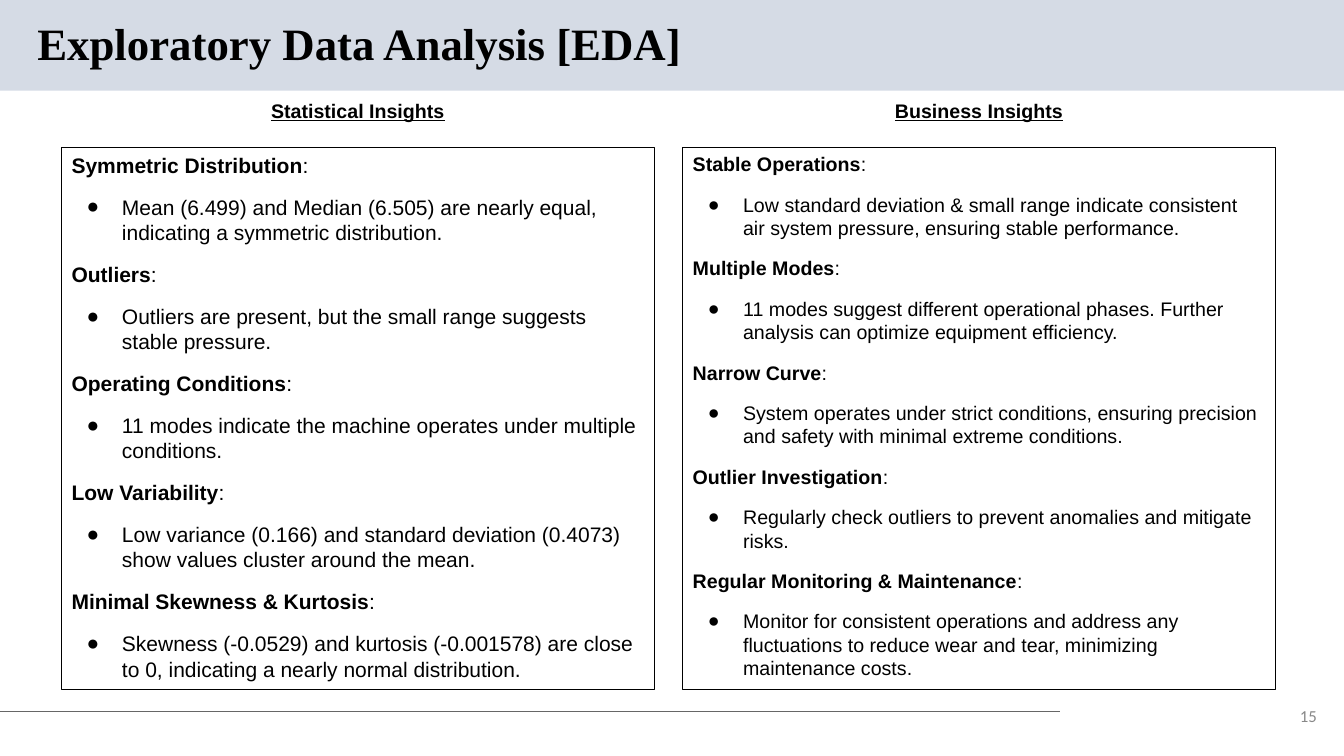
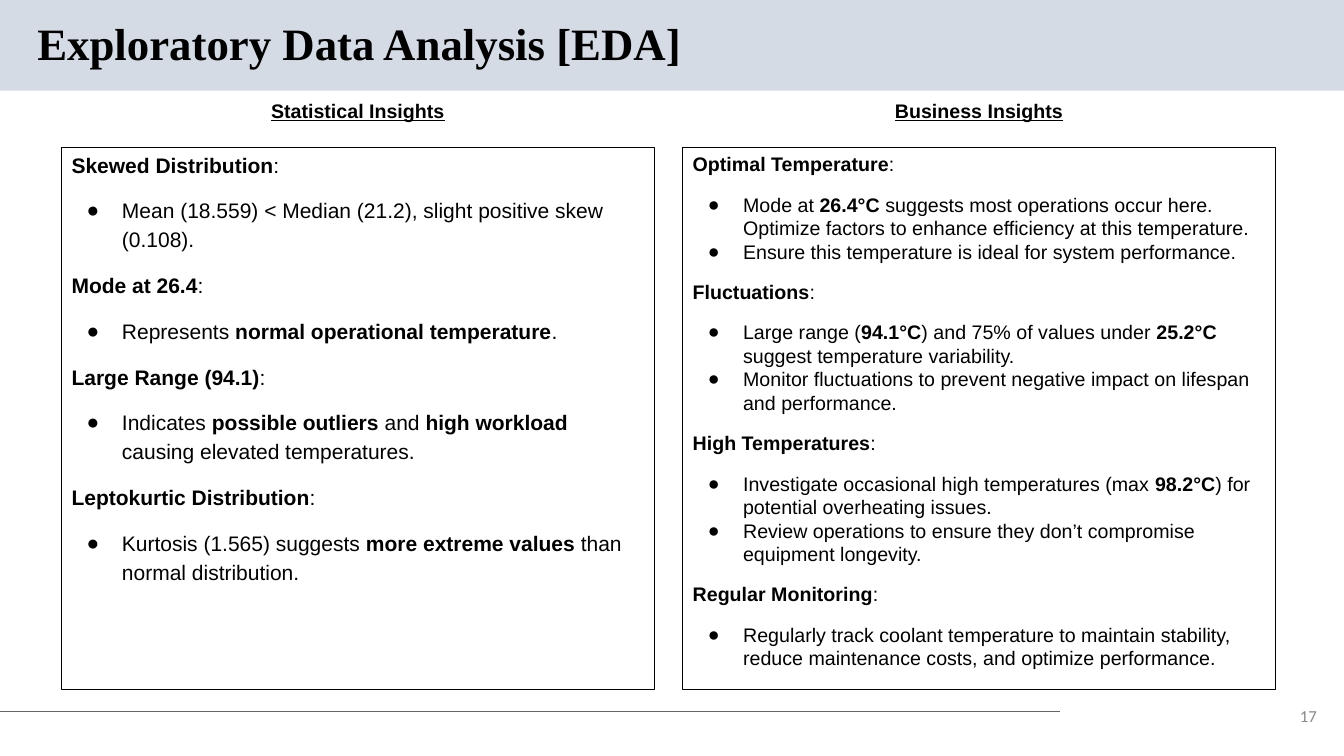
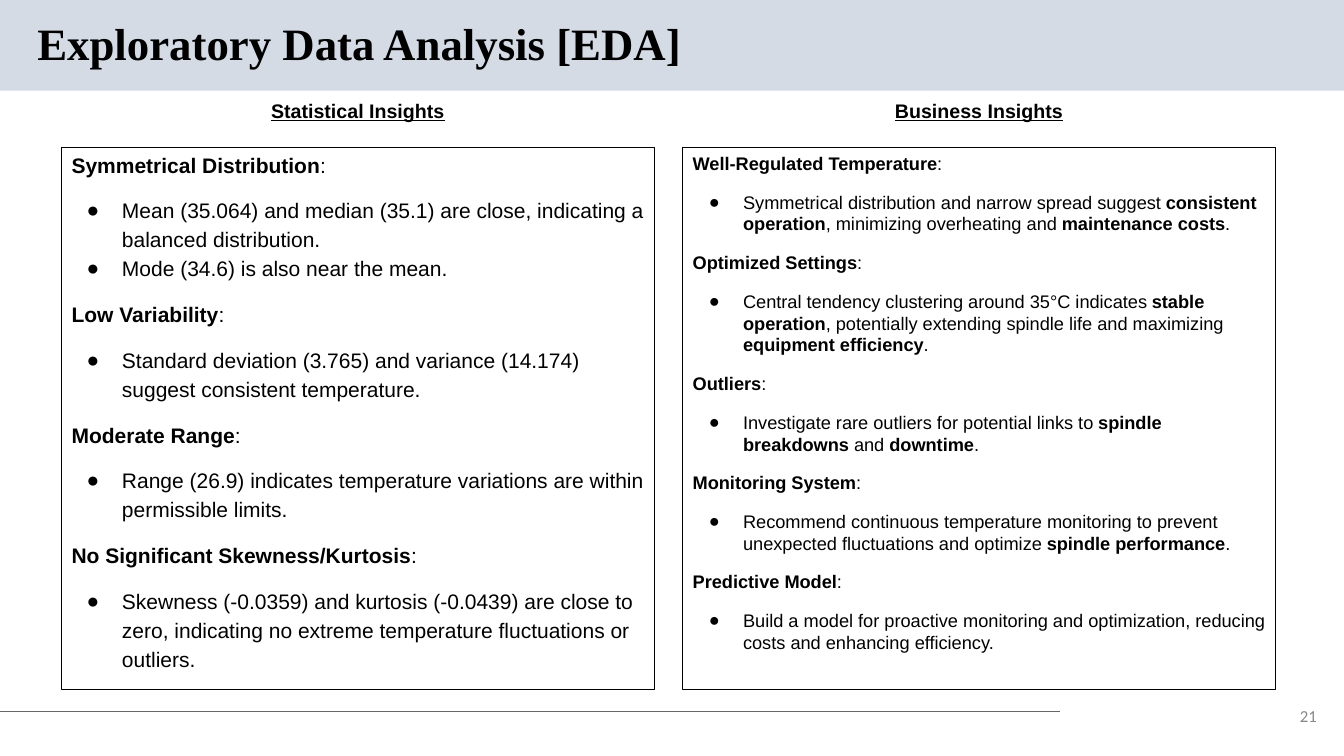
"""Build the exploratory data analysis insight slides."""
from dataclasses import dataclass

from lxml.etree import SubElement
from pptx import Presentation
from pptx.dml.color import RGBColor
from pptx.enum.shapes import MSO_CONNECTOR, MSO_SHAPE
from pptx.enum.text import MSO_ANCHOR, MSO_AUTO_SIZE, PP_ALIGN
from pptx.oxml.ns import qn
from pptx.util import Inches, Pt


@dataclass(frozen=True)
class Theme:
    """Colours, fonts and type sizes of the deck."""

    ink: str = "000000"
    band: str = "D5DBE5"
    rule: str = "666666"
    muted: str = "888888"
    title_font: str = "Times New Roman"
    body_font: str = "Arial"
    number_font: str = "Calibri"
    title_size: int = 32
    heading_size: int = 14
    number_size: int = 12
    gap: int = 12
    hairline: float = 0.75


@dataclass(frozen=True)
class Panel:
    """Topics of one column, each a name with its points."""

    topics: dict
    size: int = 14
    spacing: float = 1.0
    hanging: float = 0.35


THEME = Theme()
TITLE = "Exploratory Data Analysis [EDA]"
HEADINGS = ("Statistical Insights", "Business Insights")
SLIDE_WIDTH, SLIDE_HEIGHT = 13.33, 7.5
COLUMN_LEFTS = (0.61, 6.77)
COLUMN_WIDTH = 5.88
HEADING_SLOTS, PANEL_SLOTS = (1, 3), (2, 4)

SLIDES = {
    15: (
        Panel(size=15, topics={
            "Symmetric Distribution": [
                "Mean (6.499) and Median (6.505) are nearly equal, indicating a symmetric distribution."],
            "Outliers": ["Outliers are present, but the small range suggests stable pressure."],
            "Operating Conditions": ["11 modes indicate the machine operates under multiple conditions."],
            "Low Variability": [
                "Low variance (0.166) and standard deviation (0.4073) show values cluster around the mean."],
            "Minimal Skewness & Kurtosis": [
                "Skewness (-0.0529) and kurtosis (-0.001578) are close to 0, "
                "indicating a nearly normal distribution."],
        }),
        Panel(topics={
            "Stable Operations": [
                "Low standard deviation & small range indicate consistent air system pressure, "
                "ensuring stable performance."],
            "Multiple Modes": [
                "11 modes suggest different operational phases. "
                "Further analysis can optimize equipment efficiency."],
            "Narrow Curve": [
                "System operates under strict conditions, ensuring precision and safety "
                "with minimal extreme conditions."],
            "Outlier Investigation": ["Regularly check outliers to prevent anomalies and mitigate risks."],
            "Regular Monitoring & Maintenance": [
                "Monitor for consistent operations and address any fluctuations to reduce wear and tear, "
                "minimizing maintenance costs."],
        }),
    ),
    17: (
        Panel(size=15, spacing=1.15, topics={
            "Skewed Distribution": ["Mean (18.559) < Median (21.2), slight positive skew (0.108)."],
            "Mode at 26.4": ["Represents **normal operational temperature**."],
            "Large Range (94.1)": [
                "Indicates **possible outliers** and **high workload** causing elevated temperatures."],
            "Leptokurtic Distribution": [
                "Kurtosis (1.565) suggests **more extreme values** than normal distribution."],
        }),
        Panel(topics={
            "Optimal Temperature": [
                "Mode at **26.4°C** suggests most operations occur here. "
                "Optimize factors to enhance efficiency at this temperature.",
                "Ensure this temperature is ideal for system performance."],
            "Fluctuations": [
                "Large range (**94.1°C**) and 75% of values under **25.2°C** suggest temperature variability.",
                "Monitor fluctuations to prevent negative impact on lifespan and performance."],
            "High Temperatures": [
                "Investigate occasional high temperatures (max **98.2°C**) for potential overheating issues.",
                "Review operations to ensure they don’t compromise equipment longevity."],
            "Regular Monitoring": [
                "Regularly track coolant temperature to maintain stability, reduce maintenance costs, "
                "and optimize performance."],
        }),
    ),
    21: (
        Panel(size=15, spacing=1.15, topics={
            "Symmetrical Distribution": [
                "Mean (35.064) and median (35.1) are close, indicating a balanced distribution.",
                "Mode (34.6) is also near the mean."],
            "Low Variability": [
                "Standard deviation (3.765) and variance (14.174) suggest consistent temperature."],
            "Moderate Range": [
                "Range (26.9) indicates temperature variations are within permissible limits."],
            "No Significant Skewness/Kurtosis": [
                "Skewness (-0.0359) and kurtosis (-0.0439) are close to zero, "
                "indicating no extreme temperature fluctuations or outliers."],
        }),
        Panel(size=13, hanging=0.34, topics={
            "Well-Regulated Temperature": [
                "Symmetrical distribution and narrow spread suggest **consistent operation**, "
                "minimizing overheating and **maintenance costs**."],
            "Optimized Settings": [
                "Central tendency clustering around 35°C indicates **stable operation**, "
                "potentially extending spindle life and maximizing **equipment efficiency**."],
            "Outliers": [
                "Investigate rare outliers for potential links to **spindle breakdowns** and **downtime**."],
            "Monitoring System": [
                "Recommend continuous temperature monitoring to prevent unexpected fluctuations "
                "and optimize **spindle performance**."],
            "Predictive Model": [
                "Build a model for proactive monitoring and optimization, "
                "reducing costs and enhancing efficiency."],
        }),
    ),
}


def rgb(code):
    """Turn a hex code into a colour."""
    return RGBColor.from_string(code)


def set_bullet(paragraph, hanging):
    """Give the paragraph a round bullet, or none when hanging is zero."""
    properties = paragraph._p.get_or_add_pPr()
    properties.set("marL", str(Inches(0.5) if hanging else 0))
    properties.set("indent", str(-Inches(hanging)))
    if hanging:
        colour = SubElement(properties, qn("a:buClr"))
        SubElement(colour, qn("a:srgbClr")).set("val", THEME.ink)
        SubElement(properties, qn("a:buFont")).set("typeface", THEME.body_font)
        SubElement(properties, qn("a:buChar")).set("char", "●")
    else:
        SubElement(properties, qn("a:buNone"))


def write(paragraph, text, *, size, font=THEME.body_font, colour=THEME.ink, bold=False,
          underline=False, align=PP_ALIGN.LEFT, spacing=1.0, before=0, hanging=0):
    """Fill a paragraph; parts between double asterisks are bold."""
    set_bullet(paragraph, hanging)
    paragraph.alignment = align
    paragraph.line_spacing = spacing
    paragraph.space_before, paragraph.space_after = Pt(before), Pt(0)
    for position, part in enumerate(text.split("**")):
        if part:
            run = paragraph.add_run()
            run.text = part
            run.font.name, run.font.size = font, Pt(size)
            run.font.bold = bold or position % 2 == 1
            run.font.underline = underline
            run.font.color.rgb = rgb(colour)


def open_frame(shape, anchor=MSO_ANCHOR.TOP):
    """Prepare the text frame of a shape and return it."""
    frame = shape.text_frame
    frame.word_wrap = True
    frame.auto_size = MSO_AUTO_SIZE.NONE
    frame.vertical_anchor = anchor
    return frame


def place(shape, left, top, width, height):
    """Move and size a shape in inches."""
    shape.left, shape.top = Inches(left), Inches(top)
    shape.width, shape.height = Inches(width), Inches(height)


def arrange_layout(layout):
    """Set the positions that all slides inherit."""
    slots = {slot.placeholder_format.idx: slot for slot in layout.placeholders}
    place(slots[0], 0.27, 0.16, 10.11, 0.59)
    for left, heading, panel in zip(COLUMN_LEFTS, HEADING_SLOTS, PANEL_SLOTS):
        place(slots[heading], left, 0.93, COLUMN_WIDTH, 0.34)
        place(slots[panel], left, 1.46, COLUMN_WIDTH, 5.38)


def add_furniture(slide, layout):
    """Draw the title band and footer rule and move them to the layout."""
    band = slide.shapes.add_shape(MSO_SHAPE.RECTANGLE, 0, 0, Inches(SLIDE_WIDTH), Inches(0.9))
    band.shadow.inherit = False
    band.fill.solid()
    band.fill.fore_color.rgb = rgb(THEME.band)
    band.line.fill.background()
    rule = slide.shapes.add_connector(
        MSO_CONNECTOR.STRAIGHT, 0, Inches(7.06), Inches(10.51), Inches(7.06))
    rule.line.color.rgb = rgb(THEME.rule)
    rule.line.width = Pt(THEME.hairline)
    SubElement(rule.element.spPr, qn("a:effectLst"))
    for position, item in enumerate((band, rule)):
        item.element.xpath(".//p:cNvPr")[0].set("id", str(20 + position))
        layout.element.cSld.spTree.insert(2 + position, item.element)


def fill_panel(shape, panel):
    """Outline a panel and list its topics and points."""
    shape.line.color.rgb = rgb(THEME.ink)
    shape.line.width = Pt(THEME.hairline)
    frame = open_frame(shape)
    for name, points in panel.topics.items():
        first = not frame.paragraphs[0].runs
        paragraph = frame.paragraphs[0] if first else frame.add_paragraph()
        write(paragraph, f"**{name}**:", size=panel.size,
              spacing=1.0 if first else panel.spacing, before=0 if first else THEME.gap)
        for position, point in enumerate(points):
            write(frame.add_paragraph(), point, size=panel.size, spacing=panel.spacing,
                  before=0 if position else THEME.gap, hanging=panel.hanging)


def add_page_number(slide, number):
    """Write the page number at the lower right."""
    page = slide.shapes.add_textbox(Inches(12.73), Inches(6.94), Inches(0.43), Inches(0.32))
    write(open_frame(page, MSO_ANCHOR.MIDDLE).paragraphs[0], str(number), size=THEME.number_size,
          font=THEME.number_font, colour=THEME.muted, align=PP_ALIGN.RIGHT)


def add_insight_slide(deck, layout, number, panels):
    """Add a slide with two headed panels."""
    slide = deck.slides.add_slide(layout)
    slots = slide.placeholders
    write(open_frame(slide.shapes.title, MSO_ANCHOR.MIDDLE).paragraphs[0], TITLE,
          size=THEME.title_size, font=THEME.title_font, bold=True, spacing=0.9)
    for slot, heading in zip(HEADING_SLOTS, HEADINGS):
        write(open_frame(slots[slot]).paragraphs[0], heading, size=THEME.heading_size,
              bold=True, underline=True, align=PP_ALIGN.CENTER)
    for slot, panel in zip(PANEL_SLOTS, panels):
        fill_panel(slots[slot], panel)
    add_page_number(slide, number)


def main():
    """Build and save the deck."""
    deck = Presentation()
    deck.slide_width, deck.slide_height = Inches(SLIDE_WIDTH), Inches(SLIDE_HEIGHT)
    layout = deck.slide_layouts.get_by_name("Comparison")
    arrange_layout(layout)
    for number, panels in SLIDES.items():
        add_insight_slide(deck, layout, number, panels)
    add_furniture(deck.slides[0], layout)
    deck.save("out.pptx")


if __name__ == "__main__":
    main()
